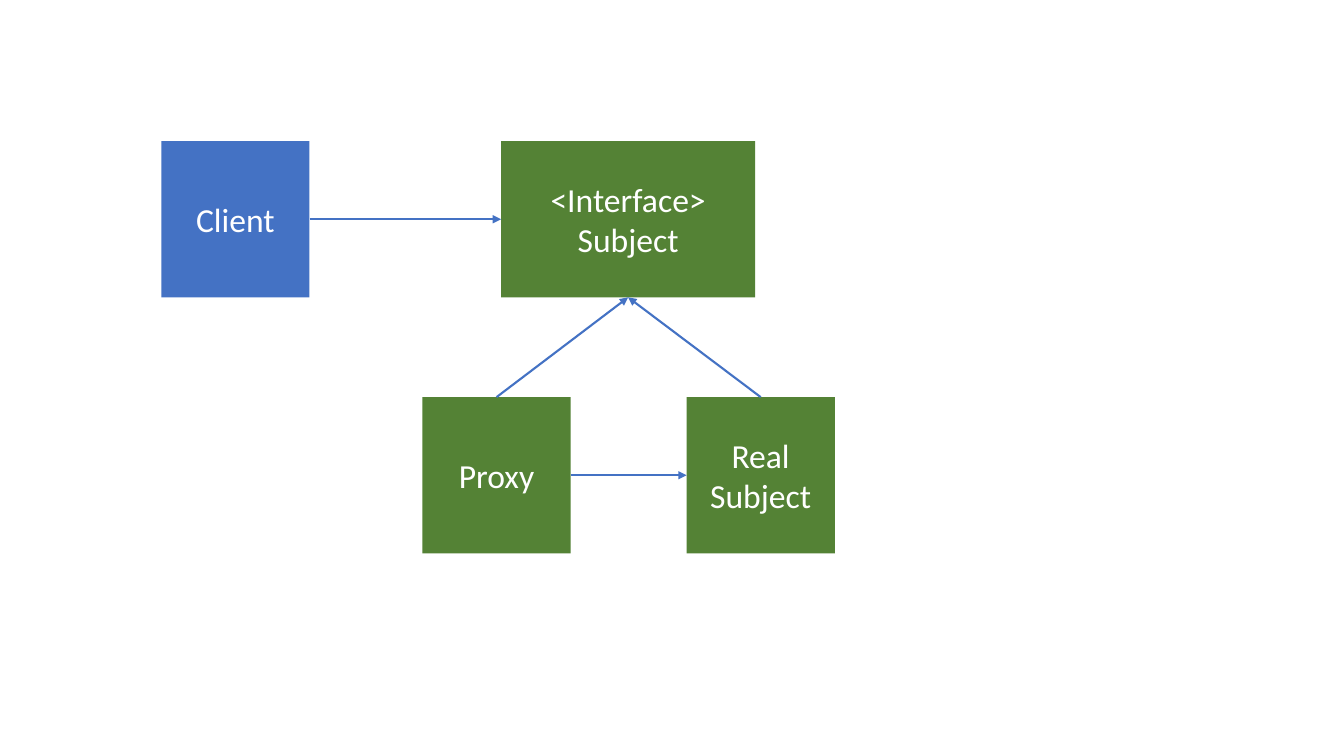
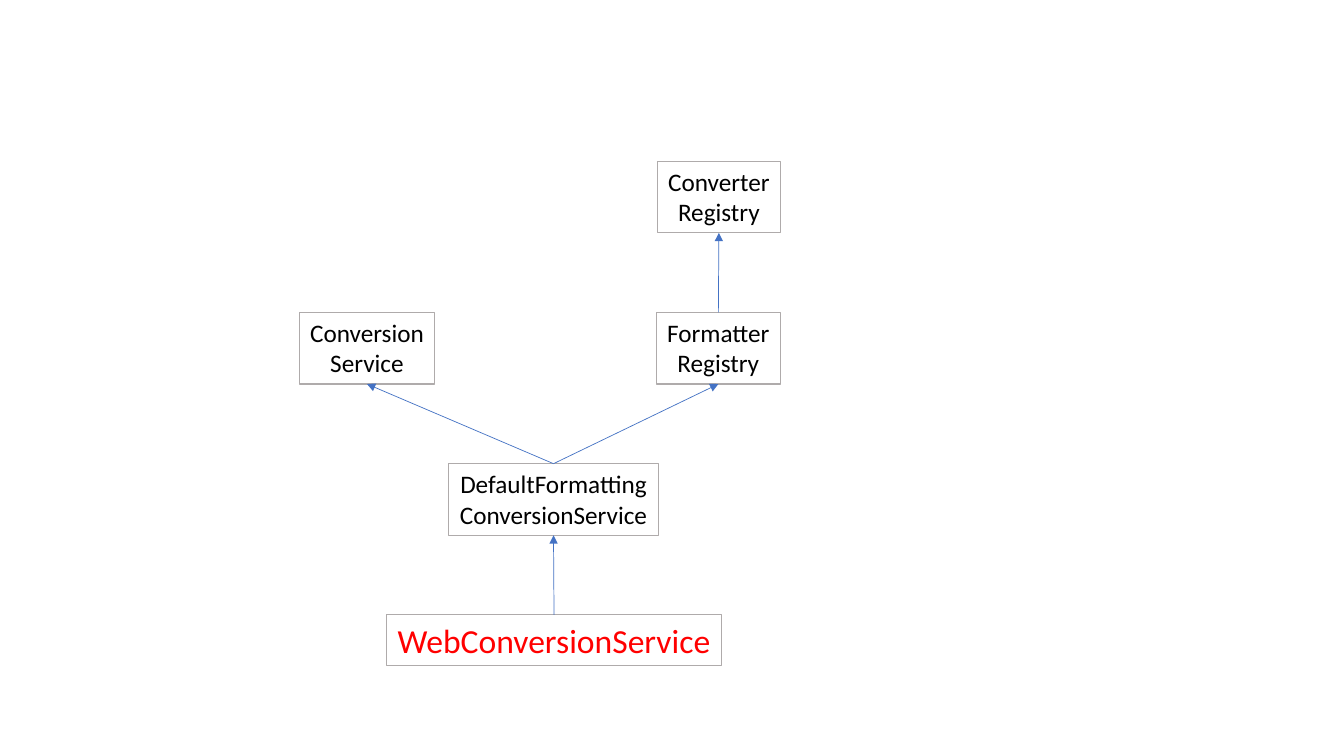
from lxml import etree
from pptx import Presentation
from pptx.dml.color import RGBColor
from pptx.enum.shapes import MSO_CONNECTOR, MSO_SHAPE
from pptx.enum.text import MSO_ANCHOR, MSO_AUTO_SIZE, PP_ALIGN
from pptx.oxml.ns import qn
from pptx.util import Inches, Pt

RECTANGLE = MSO_SHAPE.RECTANGLE
STRAIGHT = MSO_CONNECTOR.STRAIGHT
MIDDLE = MSO_ANCHOR.MIDDLE
CENTER = PP_ALIGN.CENTER
FIT_SHAPE = MSO_AUTO_SIZE.SHAPE_TO_FIT_TEXT
TOP, LEFT, BOTTOM, RIGHT = range(4)

BLUE = RGBColor(0x44, 0x72, 0xC4)
GREEN = RGBColor(0x54, 0x82, 0x35)
GRAY = RGBColor(0xAF, 0xAB, 0xAB)
WHITE = RGBColor(0xFF, 0xFF, 0xFF)
BLACK = RGBColor(0x00, 0x00, 0x00)
RED = RGBColor(0xFF, 0x00, 0x00)
FONT_NAME = "Calibri"


def write_text(shape, text, size, color):
    shape.text_frame.text = text
    font_format = {"name": FONT_NAME, "size": Pt(size)}
    for paragraph in shape.text_frame.paragraphs:
        paragraph.alignment = CENTER
        for name, value in font_format.items():
            setattr(paragraph.font, name, value)
        paragraph.font.color.rgb = color


def add_filled_box(slide, text, left, top, width, fill):
    shape = slide.shapes.add_shape(
        RECTANGLE, Inches(left), Inches(top), Inches(width), Inches(1.55)
    )
    shape.shadow.inherit = False
    shape.fill.solid()
    shape.fill.fore_color.rgb = fill
    shape.line.fill.background()
    shape.text_frame.vertical_anchor = MIDDLE
    write_text(shape, text, 24, WHITE)
    return shape


def add_outlined_box(slide, text, left, top, width, height=0.71,
                     size=18, color=BLACK, wrap=False):
    shape = slide.shapes.add_textbox(
        Inches(left), Inches(top), Inches(width), Inches(height)
    )
    shape.line.color.rgb = GRAY
    shape.line.width = Pt(0.75)
    frame_format = {"word_wrap": wrap, "auto_size": FIT_SHAPE}
    for name, value in frame_format.items():
        setattr(shape.text_frame, name, value)
    write_text(shape, text, size, color)
    return shape


def add_arrow(slide, start, start_side, end, end_side, width):
    connector = slide.shapes.add_connector(STRAIGHT, 0, 0, 0, 0)
    connector.begin_connect(start, start_side)
    connector.end_connect(end, end_side)
    connector.line.color.rgb = BLUE
    connector.line.width = Pt(width)
    etree.SubElement(connector.line._get_or_add_ln(), qn("a:tailEnd"), type="triangle")
    etree.SubElement(connector._element.spPr, qn("a:effectLst"))


def build_proxy_slide(slide):
    upper, lower, narrow = 1.4, 3.94, 1.47
    client = add_filled_box(slide, "Client", 1.6, upper, narrow, BLUE)
    interface = add_filled_box(slide, "<Interface>\nSubject", 4.97, upper, 2.52, GREEN)
    real_subject = add_filled_box(slide, "Real\nSubject", 6.81, lower, narrow, GREEN)
    proxy = add_filled_box(slide, "Proxy", 4.19, lower, narrow, GREEN)
    for start, start_side, end, end_side in (
        (client, RIGHT, interface, LEFT),
        (proxy, TOP, interface, BOTTOM),
        (real_subject, TOP, interface, BOTTOM),
        (proxy, RIGHT, real_subject, LEFT),
    ):
        add_arrow(slide, start, start_side, end, end_side, 1.5)


def build_conversion_slide(slide):
    rows = [1.6 + 1.5 * row for row in range(4)]
    conversion = add_outlined_box(slide, "Conversion\nService", 2.97, rows[1], 1.34)
    converter = add_outlined_box(slide, "Converter\nRegistry", 6.52, rows[0], 1.22)
    formatter = add_outlined_box(slide, "Formatter\nRegistry", 6.51, rows[1], 1.23)
    default_service = add_outlined_box(
        slide, "DefaultFormatting\nConversionService", 4.45, rows[2], 2.08
    )
    web_service = add_outlined_box(
        slide, "WebConversionService", 3.83, rows[3], 3.33,
        height=0.5, size=24, color=RED, wrap=True
    )
    for child, parent in (
        (formatter, converter),
        (default_service, conversion),
        (default_service, formatter),
        (web_service, default_service),
    ):
        add_arrow(slide, child, TOP, parent, BOTTOM, 0.5)


def main():
    presentation = Presentation()
    presentation.slide_width = Inches(13.33)
    presentation.slide_height = Inches(7.5)
    blank_layout = presentation.slide_layouts[6]
    for build_slide in (build_proxy_slide, build_conversion_slide):
        build_slide(presentation.slides.add_slide(blank_layout))
    presentation.save("out.pptx")


if __name__ == "__main__":
    main()
